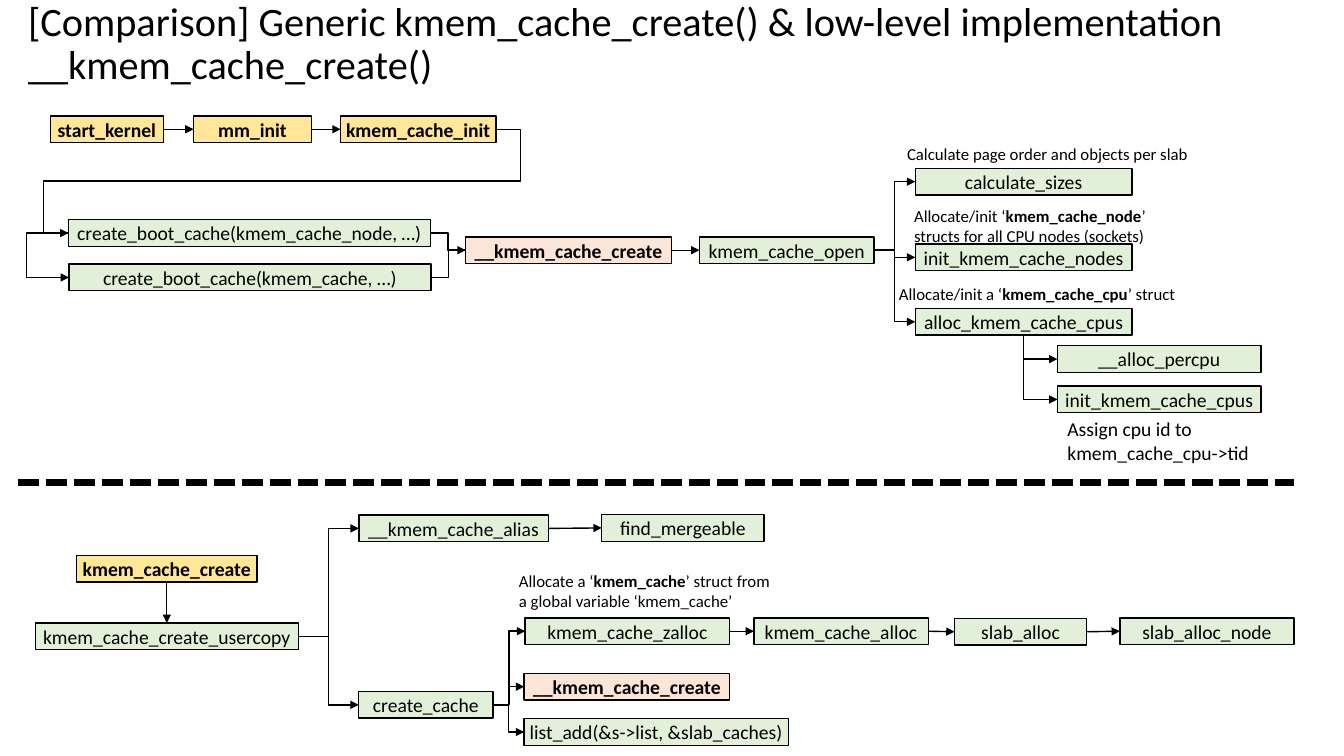
from dataclasses import dataclass
from pptx import Presentation
from pptx.dml.color import RGBColor
from pptx.enum.dml import MSO_LINE
from pptx.enum.shapes import MSO_CONNECTOR, MSO_SHAPE
from pptx.enum.text import MSO_ANCHOR, PP_ALIGN
from pptx.oxml.ns import qn
from pptx.shapes.autoshape import Shape
from pptx.shapes.connector import Connector
from pptx.slide import Slide
from pptx.util import Inches, Pt
from lxml import etree

RECT = MSO_SHAPE.RECTANGLE
ELBOW, STRAIGHT = MSO_CONNECTOR.ELBOW, MSO_CONNECTOR.STRAIGHT
MIDDLE = MSO_ANCHOR.MIDDLE
CENTER = PP_ALIGN.CENTER
DASH = MSO_LINE.SQUARE_DOT

BLACK = RGBColor(0x00, 0x00, 0x00)
GOLD = RGBColor(0xFF, 0xE6, 0x99)
PEACH = RGBColor(0xFB, 0xE5, 0xD6)
GREEN = RGBColor(0xE2, 0xF0, 0xD9)

FONT = "Calibri"
CELL = Inches(0.1)  # one column or row of the grid
COLS, ROWS = 133.33, 75
BOX_ROWS = 2.65
TOP, LEFT, BOTTOM, RIGHT = range(4)  # connection sites of a rectangle


@dataclass(frozen=True)
class Box:
    key: str
    label: str
    col: float
    row: float
    cols: float
    fill: RGBColor = GREEN


@dataclass(frozen=True)
class Note:
    """Free text; every second part between bars is bold."""
    text: str
    col: float
    row: float
    cols: float
    rows: float
    size: float = 12


@dataclass(frozen=True)
class Link:
    """An arrow between two boxes; turns are the columns where it bends."""
    start: str
    end: str
    leave: int = RIGHT
    enter: int = LEFT
    kind: int = ELBOW
    turns: tuple[float, ...] = ()
    arrow: bool = True


BOXES = [
    Box("start", "start_kernel", 5, 11.5, 11.2, GOLD),
    Box("mm", "mm_init", 19.2, 11.5, 11.7, GOLD),
    Box("init", "kmem_cache_init", 33.8, 11.5, 15.4, GOLD),
    Box("boot node", "create_boot_cache(kmem_cache_node, …)", 6.8, 21.8, 35.9),
    Box("boot", "create_boot_cache(kmem_cache, …)", 6.85, 26.2, 35.9),
    Box("low create", "__kmem_cache_create", 46.2, 23.5, 20.4, PEACH),
    Box("open", "kmem_cache_open", 69.4, 23.5, 17.3),
    Box("sizes", "calculate_sizes", 90.8, 16.7, 21.5),
    Box("nodes", "init_kmem_cache_nodes", 90.8, 24.2, 21.5),
    Box("cpus", "alloc_kmem_cache_cpus", 90.8, 30.6, 21.5),
    Box("percpu", "__alloc_percpu", 104.9, 34.3, 20.2),
    Box("init cpus", "init_kmem_cache_cpus", 104.9, 38.3, 20.2),
    Box("create", "kmem_cache_create", 7.6, 55.1, 17.9, GOLD),
    Box("copy", "kmem_cache_create_usercopy", 3.5, 61.8, 26.1),
    Box("alias", "__kmem_cache_alias", 35.6, 51.1, 18.8),
    Box("merge", "find_mergeable", 59.7, 51.05, 16.1),
    Box("cache", "create_cache", 35.6, 68.6, 13.3),
    Box("zalloc", "kmem_cache_zalloc", 52.1, 61.3, 20.3),
    Box("alloc", "kmem_cache_alloc", 74.8, 61.3, 17.3),
    Box("slab", "slab_alloc", 94.7, 61.35, 13.1),
    Box("slab node", "slab_alloc_node", 111.1, 61.3, 17.3),
    Box("low again", "__kmem_cache_create", 52, 66.8, 20.4, PEACH),
    Box("list", "list_add(&s->list, &slab_caches)", 52, 71.3, 26.2),
]

NOTES = [
    Note("Calculate page order and objects per slab", 89, 13.8, 32.4, 3),
    Note("Allocate/init ‘|kmem_cache_node|’ structs for all CPU nodes (sockets)",
         89.7, 19.9, 26.5, 5),
    Note("Allocate/init a ‘|kmem_cache_cpu|’ struct", 88.2, 27.7, 30, 3),
    Note("Assign cpu id to kmem_cache_cpu->tid", 104.9, 40.9, 23.5, 5.7, 14),
    Note("Allocate a ‘|kmem_cache|’ struct from a global variable ‘kmem_cache’",
         50.5, 56.1, 27.7, 5),
]

LINKS = [
    *(Link(a, b, kind=STRAIGHT) for a, b in (
        ("start", "mm"), ("mm", "init"), ("low create", "open"),
        ("alias", "merge"), ("zalloc", "alloc"), ("alloc", "slab"),
        ("slab", "slab node"))),
    *(Link(a, b) for a, b in (
        ("boot node", "low create"), ("open", "sizes"), ("open", "nodes"),
        ("open", "cpus"), ("copy", "alias"), ("copy", "cache"),
        ("cache", "zalloc"), ("cache", "low again"), ("cache", "list"))),
    Link("boot", "low create", arrow=False),
    Link("create", "copy", BOTTOM, TOP, STRAIGHT),
    Link("init", "boot node", turns=(51.6, 4.3)),
    Link("boot node", "boot", LEFT, LEFT, turns=(2.75,)),
    *(Link("cpus", end, BOTTOM, turns=(101.55,))
      for end in ("percpu", "init cpus")),
]


def span(*cells: float) -> list[int]:
    """Turn counts of grid cells into lengths."""
    return [round(n * CELL) for n in cells]


def write(shape: Shape, text: str, size: float, bold: bool = False) -> None:
    shape.text_frame.word_wrap = True
    para = shape.text_frame.paragraphs[0]
    for i, part in enumerate(text.split("|")):
        run = para.add_run()
        run.text = part
        if i % 2:
            run.font.bold = True
    font = para.font
    font.name, font.size, font.bold = FONT, Pt(size), bold
    font.color.rgb = BLACK


def draw_box(slide: Slide, box: Box) -> Shape:
    shape = slide.shapes.add_shape(
        RECT, *span(box.col, box.row, box.cols, BOX_ROWS))
    shape.shadow.inherit = False
    shape.fill.solid()
    shape.fill.fore_color.rgb = box.fill
    shape.line.color.rgb = BLACK
    shape.line.width = Pt(1)
    frame = shape.text_frame
    frame.margin_left = frame.margin_right = CELL // 2
    frame.margin_top = frame.margin_bottom = CELL // 2
    frame.vertical_anchor = MIDDLE
    write(shape, box.label, 14, bold=box.fill != GREEN)
    frame.paragraphs[0].alignment = CENTER
    return shape


def draw_note(slide: Slide, note: Note) -> Shape:
    shape = slide.shapes.add_textbox(
        *span(note.col, note.row, note.cols, note.rows))
    write(shape, note.text, note.size)
    return shape


def style(line: Connector, width: float, arrow: bool = False) -> None:
    line.line.color.rgb = BLACK
    line.line.width = Pt(width)
    props = line.element.spPr
    if arrow:
        tail = etree.SubElement(props.find(qn("a:ln")), qn("a:tailEnd"))
        tail.set("type", "triangle")
    etree.SubElement(props, qn("a:effectLst"))


def bend(line: Connector, turns: tuple[float, ...]) -> None:
    """Move the upright parts of an elbow to the given columns."""
    reach = line.end_x - line.begin_x
    shares = [(x - line.begin_x) / reach for x in span(*turns)]
    if len(shares) == 2:
        shares.insert(1, 0.5)
    shape = line.element.spPr.find(qn("a:prstGeom"))
    shape.set("prst", f"bentConnector{len(shares) + 2}")
    guides = shape.find(qn("a:avLst"))
    if guides is None:
        guides = etree.SubElement(shape, qn("a:avLst"))
    for i, share in enumerate(shares, 1):
        guide = etree.SubElement(guides, qn("a:gd"))
        guide.set("name", f"adj{i}")
        guide.set("fmla", f"val {round(share * 100000)}")


def site(shape: Shape, side: int) -> tuple[int, int]:
    """Give the middle of one side of a box."""
    x = {LEFT: 0, RIGHT: shape.width}.get(side, shape.width // 2)
    y = {TOP: 0, BOTTOM: shape.height}.get(side, shape.height // 2)
    return shape.left + x, shape.top + y


def draw_link(slide: Slide, link: Link, shapes: dict[str, Shape]) -> None:
    start, end = shapes[link.start], shapes[link.end]
    line = slide.shapes.add_connector(
        link.kind, *site(start, link.leave), *site(end, link.enter))
    if link.turns:
        bend(line, link.turns)
    else:
        line.begin_connect(start, link.leave)
        line.end_connect(end, link.enter)
    style(line, 1, link.arrow)


def main() -> None:
    deck = Presentation()
    deck.slide_width, deck.slide_height = span(COLS, ROWS)
    slide = deck.slides.add_slide(deck.slide_layouts[6])
    title = draw_note(slide, Note(
        "[Comparison] Generic kmem_cache_create() & low-level implementation "
        "__kmem_cache_create()", 1.8, 0.7, 130, 7.5, 28.8))
    title.text_frame.vertical_anchor = MIDDLE
    title.text_frame.paragraphs[0].line_spacing = 0.9
    shapes = {box.key: draw_box(slide, box) for box in BOXES}
    for note in NOTES:
        draw_note(slide, note)
    for link in LINKS:
        draw_link(slide, link, shapes)
    rule = slide.shapes.add_connector(STRAIGHT, *span(1.8, 47.9, 128.4, 47.9))
    rule.line.dash_style = DASH
    style(rule, 5)
    deck.save("out.pptx")


if __name__ == "__main__":
    main()
